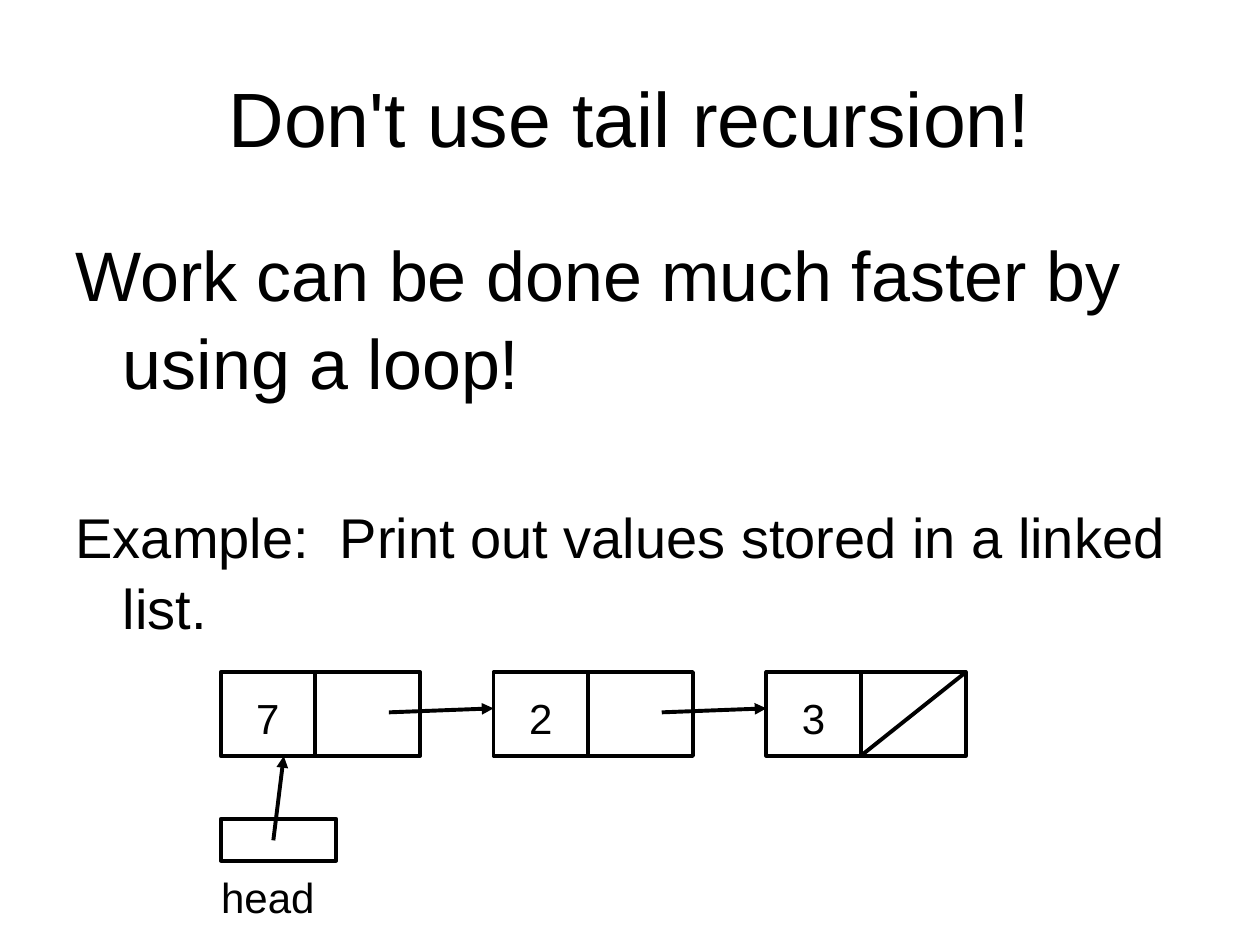
from pptx import Presentation
from pptx.dml.color import RGBColor
from pptx.enum.shapes import MSO_CONNECTOR, MSO_SHAPE
from pptx.enum.text import MSO_ANCHOR, MSO_AUTO_SIZE, PP_ALIGN
from pptx.oxml.xmlchemy import OxmlElement
from pptx.util import Cm, Pt

COLORS = {"ink": "000000", "paper": "FFFFFF"}
FONT = "Arial"
LINE_WIDTH = 2.25
NODE_WIDTH, NODE_HEIGHT, NODE_PITCH = 4.02, 1.69, 5.5
DIVIDER = 1.9


def color(name):
    return RGBColor.from_string(COLORS[name])


def place(shape, left, top, width, height):
    shape.left, shape.top = Cm(left), Cm(top)
    shape.width, shape.height = Cm(width), Cm(height)


def write(para, text, size=24, align=None, before=0, spacing=None, hanging=None):
    if hanging is not None:
        props = para._p.get_or_add_pPr()
        props.set("marL", str(Cm(hanging)))
        props.set("indent", str(-Cm(hanging)))
        props.append(OxmlElement("a:buNone"))
    para.alignment = align
    para.space_before = Pt(before)
    para.line_spacing = spacing
    span = para.add_run()
    span.text = text
    span.font.name = FONT
    span.font.size = Pt(size)
    span.font.color.rgb = color("ink")


def add_label(shapes, text, left, top, width, height=1.01):
    box = shapes.add_textbox(Cm(left), Cm(top), Cm(width), Cm(height))
    frame = box.text_frame
    frame.word_wrap = True
    frame.margin_left = frame.margin_right = 0
    frame.margin_top = frame.margin_bottom = 0
    write(frame.paragraphs[0], text, align=PP_ALIGN.CENTER)


def add_frame(shapes, left, top, width, height):
    frame = shapes.add_shape(
        MSO_SHAPE.RECTANGLE, Cm(left), Cm(top), Cm(width), Cm(height))
    frame.shadow.inherit = False
    frame.fill.background()
    frame.line.color.rgb = color("ink")
    frame.line.width = Pt(LINE_WIDTH)


def add_line(shapes, start, end, arrow=False):
    line = shapes.add_connector(
        MSO_CONNECTOR.STRAIGHT, *(Cm(value) for value in (*start, *end)))
    line.line.color.rgb = color("ink")
    line.line.width = Pt(LINE_WIDTH)
    if arrow:
        tip = OxmlElement("a:tailEnd")
        tip.set("type", "triangle")
        line.line._get_or_add_ln().append(tip)
    line._element.spPr.append(OxmlElement("a:effectLst"))


def add_title(page, text, left, top, width, height):
    title = page.shapes.title
    place(title, left, top, width, height)
    title.text_frame.vertical_anchor = MSO_ANCHOR.MIDDLE
    title.text_frame.auto_size = MSO_AUTO_SIZE.NONE
    write(title.text_frame.paragraphs[0], text, size=44, align=PP_ALIGN.CENTER)


def add_body(page, left, top, width, height):
    body = page.placeholders[1]
    place(body, left, top, width, height)
    frame = body.text_frame
    frame.auto_size = MSO_AUTO_SIZE.NONE
    write(frame.paragraphs[0], "Work can be done much faster by using a loop!",
          size=40, spacing=1.05, hanging=0.95)
    write(frame.add_paragraph(),
          "Example:  Print out values stored in a linked list.",
          size=32, before=55, spacing=1.05, hanging=0.95)


def add_node(page, value, left, top):
    shapes = page.shapes.add_group_shape().shapes
    add_label(shapes, value, left + 0.42, top + 0.42, 1.06)
    add_frame(shapes, left, top, NODE_WIDTH, NODE_HEIGHT)
    add_line(shapes, (left + DIVIDER, top), (left + DIVIDER, top + NODE_HEIGHT))


def add_linked_list(page, values, left, top):
    bottom = top + NODE_HEIGHT
    add_frame(page.shapes, left, top + 2.96, 2.33, 0.84)
    add_label(page.shapes, "head", left - 0.64, top + 4.02, 3.18)
    lefts = [left + index * NODE_PITCH for index in range(len(values))]
    for value, node_left in zip(values, lefts):
        add_node(page, value, node_left, top)

    add_line(page.shapes, (left + 1.06, top + 3.39), (left + 1.27, bottom), arrow=True)
    for node_left, next_left in zip(lefts, lefts[1:]):
        add_line(page.shapes, (node_left + 3.39, top + 0.81),
                 (next_left, top + 0.73), arrow=True)
    add_line(page.shapes, (lefts[-1] + NODE_WIDTH, top),
             (lefts[-1] + DIVIDER, bottom))


def main():
    deck = Presentation()
    deck.slide_width, deck.slide_height = Cm(25.4), Cm(19.05)
    page = deck.slides.add_slide(deck.slide_layouts[1])
    page.background.fill.solid()
    page.background.fill.fore_color.rgb = color("paper")
    add_title(page, "Don't use tail recursion!", 1.27, 0.76, 22.86, 3.18)
    add_body(page, 1.27, 4.45, 22.86, 12.57)
    add_linked_list(page, ["7", "2", "3"], 4.45, 13.55)
    deck.save("out.pptx")


if __name__ == "__main__":
    main()
